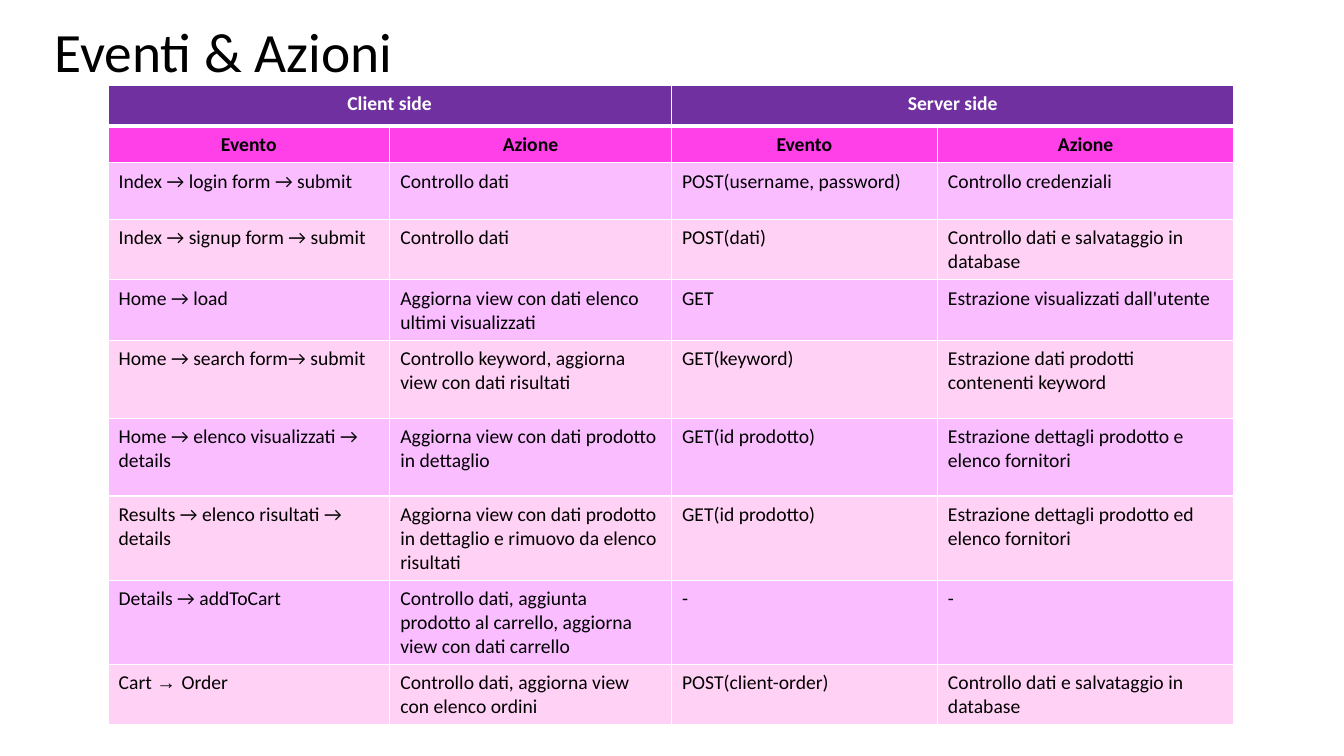
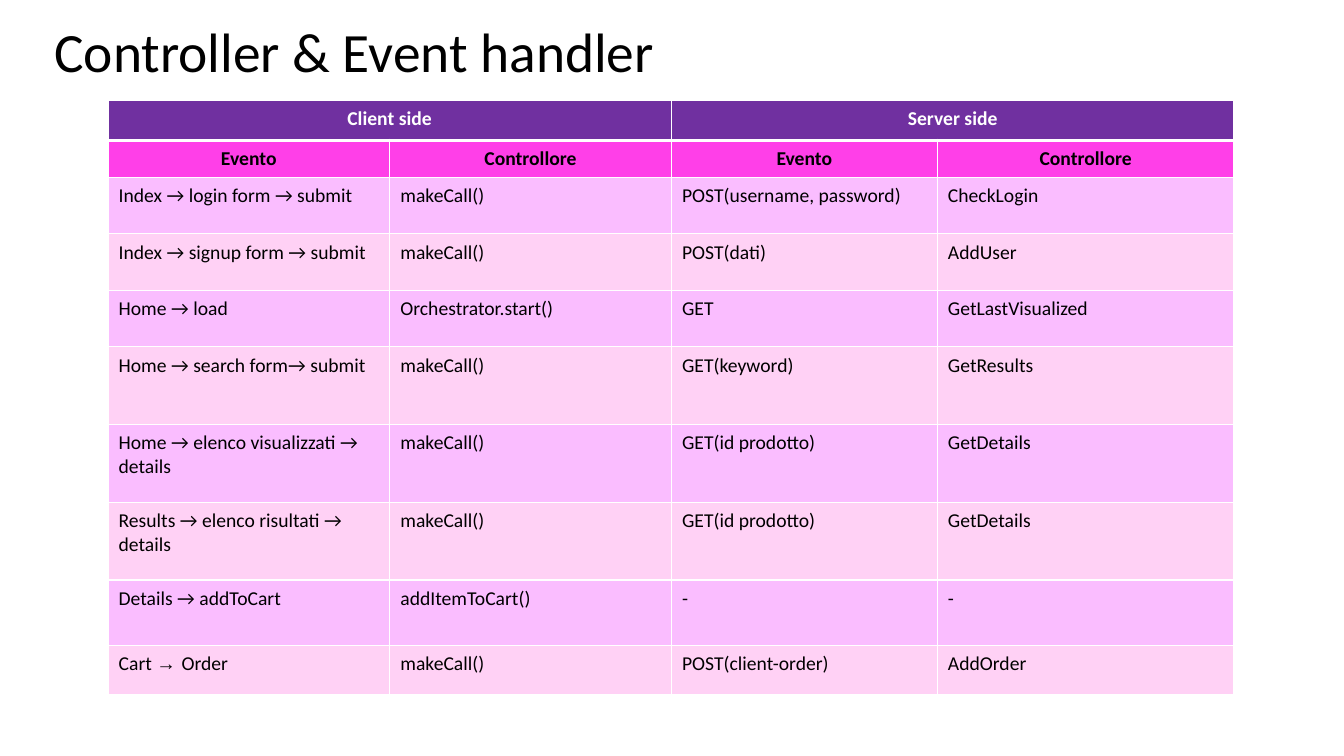
from lxml.etree import SubElement as Sub
from pptx import Presentation
from pptx.dml.color import RGBColor as Rgb
from pptx.enum.text import MSO_ANCHOR as Anchor, PP_ALIGN as Align
from pptx.oxml.ns import qn
from pptx.util import Cm, Pt

HEX = {
    "text": "000000",
    "white": "FFFFFF",
    "side": "7030A0",
    "head": "FF3FE8",
    "odd": "FABDFF",
    "even": "FFD1F5",
}
FONT = "Calibri"
COLS = [7.1, 7.1, 6.7, 7.48]
ROWS = [1.02, 0.9] + [1.42] * 3 + [1.96] * 3 + [1.65, 1.25]

EVENTS = [
    "Index → login form → submit",
    "Index → signup form → submit",
    "Home → load",
    "Home → search form→ submit",
    "Home → elenco visualizzati → details",
    "Results → elenco risultati → details",
    "Details → addToCart",
    ("Cart ", "→ ", "Order"),
]
CALLS = [
    "POST(username, password)",
    "POST(dati)",
    "GET",
    "GET(keyword)",
    "GET(id prodotto)",
    "GET(id prodotto)",
    "-",
    "POST(client-order)",
]
CLIENT_ACTS = [
    "Controllo dati",
    "Controllo dati",
    "Aggiorna view con dati elenco ultimi visualizzati",
    "Controllo keyword, aggiorna view con dati risultati",
    "Aggiorna view con dati prodotto in dettaglio",
    "Aggiorna view con dati prodotto in dettaglio e rimuovo da elenco risultati",
    "Controllo dati, aggiunta prodotto al carrello, aggiorna view con dati carrello",
    "Controllo dati, aggiorna view con elenco ordini",
]
SERVER_ACTS = [
    "Controllo credenziali",
    "Controllo dati e salvataggio in database",
    "Estrazione visualizzati dall'utente",
    "Estrazione dati prodotti contenenti keyword",
    "Estrazione dettagli prodotto e elenco fornitori",
    "Estrazione dettagli prodotto ed elenco fornitori",
    "-",
    "Controllo dati e salvataggio in database",
]
CLIENT_CTRLS = [
    "makeCall()",
    "makeCall()",
    "Orchestrator.start()",
    "makeCall()",
    "makeCall()",
    "makeCall()",
    "addItemToCart()",
    "makeCall()",
]
SERVER_CTRLS = [
    "CheckLogin",
    "AddUser",
    "GetLastVisualized",
    "GetResults",
    "GetDetails",
    "GetDetails",
    "-",
    "AddOrder",
]


def color(name):
    return Rgb.from_string(HEX[name])


def style(para, size, ink="text", bold=False):
    font = para.font
    font.name, font.size, font.bold = FONT, Pt(size), bold
    font.color.rgb = color(ink)


def add_title(slide, text):
    box = slide.shapes.add_textbox(Cm(1.12), Cm(0.61), Cm(29.21), Cm(1.52))
    frame = box.text_frame
    frame.word_wrap = True
    frame.vertical_anchor = Anchor.MIDDLE
    para = frame.paragraphs[0]
    para.text = text
    para.line_spacing = 0.9
    style(para, 39.6)


def add_edges(cell, top, bottom):
    """Draw white cell borders; top and bottom are widths in points."""
    props = cell._tc.get_or_add_tcPr()
    widths = {"lnL": 1, "lnR": 1, "lnT": top, "lnB": bottom}
    for place, (tag, width) in enumerate(widths.items()):
        line = Sub(props, qn("a:" + tag), w=str(Pt(width)))
        fill = Sub(line, qn("a:solidFill"))
        Sub(fill, qn("a:srgbClr"), val=HEX["white"])
        props.insert(place, line)


def write(cell, parts, row):
    """Write a string, or a tuple of runs whose arrows are in Arial."""
    para = cell.text_frame.paragraphs[0]
    for part in [parts] if isinstance(parts, str) else parts:
        run = para.add_run()
        run.text = part
        if part.strip() == "→":
            run.font.name = "Arial"
    if row < 2:
        para.alignment = Align.CENTER
    style(para, 14, "text" if row else "white", row < 2)


def dress(cell, row):
    cell.margin_left = cell.margin_right = Cm(0.27)
    cell.margin_top = cell.margin_bottom = Cm(0.17)
    fill = ("side", "head")[row] if row < 2 else ("odd", "even")[row % 2]
    cell.fill.solid()
    cell.fill.fore_color.rgb = color(fill)
    add_edges(cell, 3 if row == 1 else 1, 3 if row == 0 else 1)


def add_grid(slide, top, label, client, server):
    rows = [
        ("Client side", None, "Server side", None),
        ("Evento", label) * 2,
        *zip(EVENTS, client, CALLS, server),
    ]
    frame = slide.shapes.add_table(
        len(ROWS), len(COLS), Cm(2.72), Cm(top), Cm(sum(COLS)), Cm(sum(ROWS))
    )
    table = frame.table
    table.horz_banding = False
    for col, width in zip(table.columns, COLS):
        col.width = Cm(width)
    for line, height in zip(table.rows, ROWS):
        line.height = Cm(height)
    for row, texts in enumerate(rows):
        for col, text in enumerate(texts):
            cell = table.cell(row, col)
            dress(cell, row)
            if text:
                write(cell, text, row)
    for col in (0, 2):
        table.cell(0, col).merge(table.cell(0, col + 1))


def main():
    deck = Presentation()
    deck.slide_width, deck.slide_height = Cm(33.87), Cm(19.05)
    pages = [
        ("Eventi & Azioni", 2.15, "Azione", CLIENT_ACTS, SERVER_ACTS),
        ("Controller & Event handler", 2.52, "Controllore",
         CLIENT_CTRLS, SERVER_CTRLS),
    ]
    for title, *grid in pages:
        slide = deck.slides.add_slide(deck.slide_layouts[6])
        add_title(slide, title)
        add_grid(slide, *grid)
    deck.save("out.pptx")


if __name__ == "__main__":
    main()
